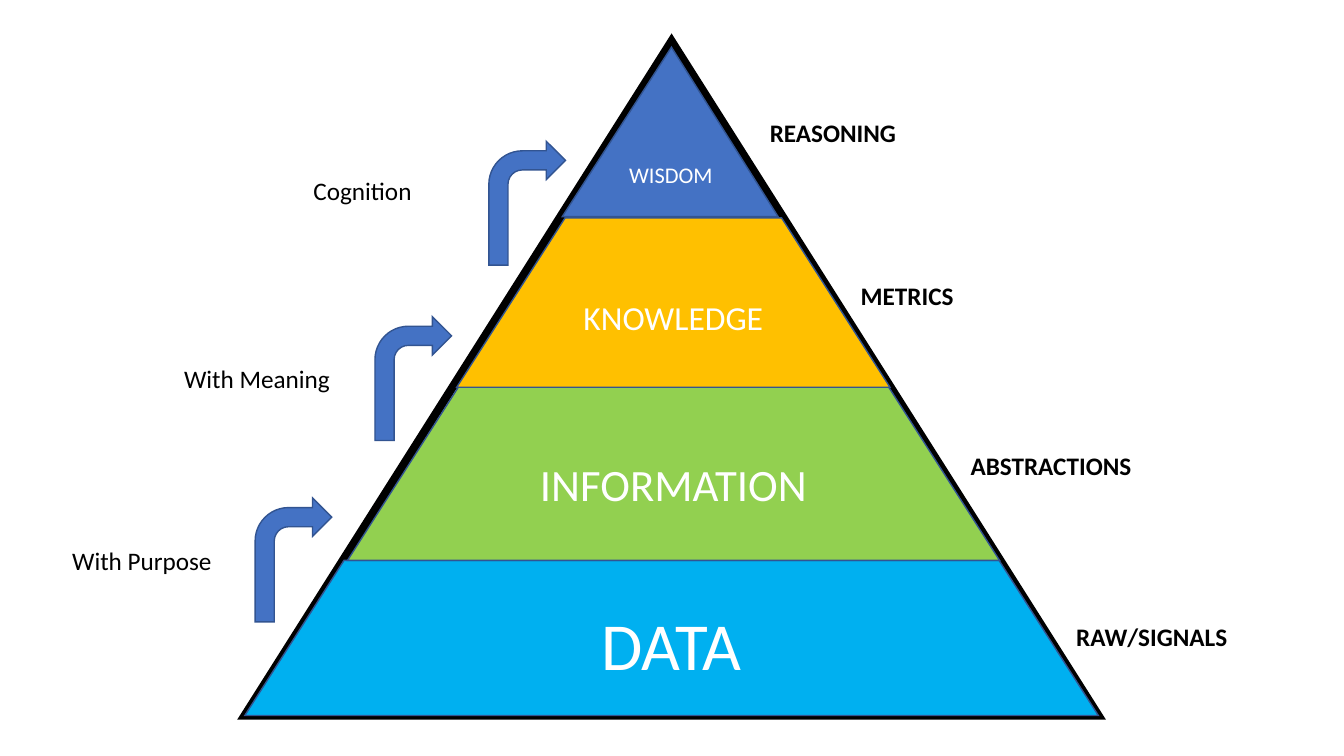
from lxml import etree
from pptx import Presentation
from pptx.dml.color import RGBColor
from pptx.enum.shapes import MSO_SHAPE
from pptx.enum.text import MSO_ANCHOR, MSO_AUTO_SIZE, PP_ALIGN
from pptx.oxml.ns import qn
from pptx.util import Cm, Pt

TRIANGLE = MSO_SHAPE.ISOSCELES_TRIANGLE
TRAPEZOID = MSO_SHAPE.TRAPEZOID
BENT_ARROW = MSO_SHAPE.BENT_ARROW
MIDDLE = MSO_ANCHOR.MIDDLE
FIT_TEXT = MSO_AUTO_SIZE.SHAPE_TO_FIT_TEXT
CENTER = PP_ALIGN.CENTER

WHITE = RGBColor(0xFF, 0xFF, 0xFF)
BLACK = RGBColor(0x00, 0x00, 0x00)
SKY = RGBColor(0x00, 0xB0, 0xF0)
GREEN = RGBColor(0x92, 0xD0, 0x50)
GOLD = RGBColor(0xFF, 0xC0, 0x00)
BLUE = RGBColor(0x44, 0x72, 0xC4)
DARK_BLUE = RGBColor(0x32, 0x54, 0x91)

FONT = "Calibri"
CAPTION_HEIGHT = 1.02
ARROW_WIDTH, ARROW_HEIGHT = 1.93, 3.12

# Level name, preset, adjustment, fill, text size, then left, top, width, height
LEVELS = [
    ("DATA", TRAPEZOID, 0.64, SKY, 48, (0, 13.08, 21.51, 3.91)),
    ("INFORMATION", TRAPEZOID, 0.64, GREEN, 32, (2.59, 8.71, 16.43, 4.37)),
    ("KNOWLEDGE", TRAPEZOID, 0.64, GOLD, 24, (5.34, 4.45, 10.92, 4.27)),
    ("WISDOM", TRIANGLE, 0.506, BLUE, 16, (8.0, 0.15, 5.44, 4.27)),
]
# Caption, its left, top and width, then the arrow's left and top
STEPS = [
    ("With Purpose", (0, 10.05, 4.47), (4.86, 8.99)),
    ("With Meaning", (2.82, 5.46, 4.47), (7.88, 4.42)),
    ("Cognition", (6.08, 0.73, 4.65), (10.75, 0)),
]
# Label, then its left, top and width
OUTPUTS = [
    ("RAW/SIGNALS", (7.72, 12.72, 6.1)),
    ("ABSTRACTIONS", (5.06, 8.41, 6.96)),
    ("METRICS", (2.29, 4.11, 6.38)),
    ("REASONING", (0, 0, 4.57)),
]


def write(frame, text, size, color, bold=False):
    frame.text = text
    font = frame.paragraphs[0].runs[0].font
    font.name, font.size, font.bold = FONT, Pt(size), bold
    font.color.rgb = color


def add_outlined(slide, preset, left, top, width, height, fill, line=DARK_BLUE, weight=1):
    """Add a filled shape whose outline has sharp corners."""
    shape = slide.shapes.add_shape(preset, Cm(left), Cm(top), Cm(width), Cm(height))
    shape.shadow.inherit = False
    shape.fill.solid()
    shape.fill.fore_color.rgb = fill
    shape.line.color.rgb = line
    shape.line.width = Pt(weight)
    outline = shape.line._get_or_add_ln()
    etree.SubElement(outline, qn("a:miter")).set("lim", "800000")
    return shape


def add_caption(slide, text, left, top, width, bold=False):
    caption = slide.shapes.add_textbox(Cm(left), Cm(top), Cm(width), Cm(CAPTION_HEIGHT))
    caption.text_frame.word_wrap = True
    caption.text_frame.auto_size = FIT_TEXT
    write(caption.text_frame, text, 18, BLACK, bold)


def draw_pyramid(slide, left, top, width, height):
    add_outlined(slide, TRIANGLE, left, top, width, height, WHITE, BLACK, 6)
    for name, preset, adjustment, fill, size, (dx, dy, w, h) in LEVELS:
        level = add_outlined(slide, preset, left + dx, top + dy, w, h, fill)
        level.adjustments[0] = adjustment
        level.text_frame.vertical_anchor = MIDDLE
        write(level.text_frame, name, size, WHITE)
        level.text_frame.paragraphs[0].alignment = CENTER


def draw_steps(slide, left, top):
    """Draw the arrows that climb the left side, with their captions."""
    for text, (dx, dy, width), (arrow_dx, arrow_dy) in STEPS:
        add_outlined(slide, BENT_ARROW, left + arrow_dx, top + arrow_dy,
                     ARROW_WIDTH, ARROW_HEIGHT, BLUE)
        add_caption(slide, text, left + dx, top + dy, width)


def draw_outputs(slide, left, top):
    """Draw the bold labels down the right side."""
    for text, (dx, dy, width) in OUTPUTS:
        add_caption(slide, text, left + dx, top + dy, width, bold=True)


def main():
    deck = Presentation()
    deck.slide_width, deck.slide_height = Cm(33.87), Cm(19.05)
    slide = deck.slides.add_slide(deck.slide_layouts[6])
    draw_pyramid(slide, 6.17, 1.04, 21.51, 16.99)
    draw_steps(slide, 1.57, 3.56)
    draw_outputs(slide, 19.15, 2.82)
    deck.save("out.pptx")


if __name__ == "__main__":
    main()
